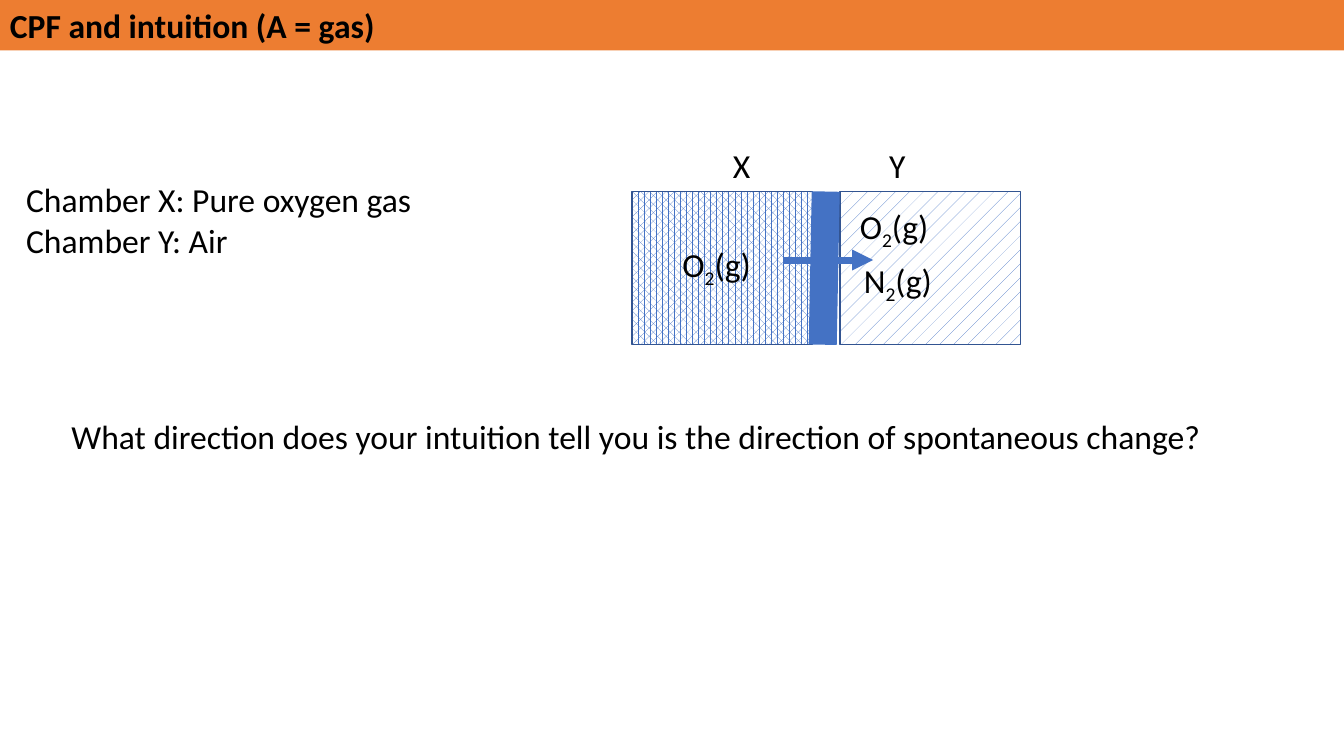
"""Build a slide on intuition about gas flow between two chambers."""
from lxml import etree
from pptx import Presentation
from pptx import util as u
from pptx.dml.color import RGBColor
from pptx.enum import dml, shapes, text
from pptx.oxml.ns import qn

ORANGE = RGBColor(0xED, 0x7D, 0x31)
BLUE = RGBColor(0x44, 0x72, 0xC4)
DARK_BLUE = RGBColor(0x32, 0x54, 0x91)
WHITE = RGBColor(0xFF, 0xFF, 0xFF)
BLACK = RGBColor(0, 0, 0)
BODY = {"name": "Calibri", "size": u.Pt(24), "bold": False}
HEADING = {**BODY, "bold": True}

deck = Presentation()
deck.slide_width, deck.slide_height = u.Inches(13.33), u.Inches(7.5)
slide = deck.slides.add_slide(deck.slide_layouts[6])
CELL = deck.slide_height / 75


def grid(*cells):
    """Turn columns and rows into lengths."""
    return [round(CELL * cell) for cell in cells]


def write(box, lines, style=BODY):
    """Fill a box with lines, each a list of runs; a digit alone is a subscript."""
    frame = box.text_frame
    frame.word_wrap = True
    frame.auto_size = text.MSO_AUTO_SIZE.SHAPE_TO_FIT_TEXT
    for index, line in enumerate(lines):
        paragraph = frame.add_paragraph() if index else frame.paragraphs[0]
        paragraph.alignment = text.PP_ALIGN.LEFT
        for part in line:
            run = paragraph.add_run()
            run.text = part
            for key, value in style.items():
                setattr(run.font, key, value)
            run.font.color.rgb = BLACK
            if part.isdigit():
                run.font._element.set("baseline", "-25000")


banner = slide.shapes.add_shape(
    shapes.MSO_SHAPE.RECTANGLE, 0, 0, deck.slide_width, grid(5)[0])
banner.shadow.inherit = False
banner.fill.solid()
banner.fill.fore_color.rgb = ORANGE
banner.line.fill.background()
banner.text_frame.vertical_anchor = text.MSO_ANCHOR.TOP
write(banner, [["CPF and intuition (A = gas)"]], HEADING)

apparatus = slide.shapes.add_group_shape()
for left, pattern in ((83.3, dml.MSO_PATTERN.PERCENT_5),
                      (62.7, dml.MSO_PATTERN.PERCENT_60)):
    chamber = apparatus.shapes.add_shape(
        shapes.MSO_SHAPE.RECTANGLE, *grid(left, 19, 17.9, 15.2))
    chamber.shadow.inherit = False
    chamber.fill.patterned()
    chamber.fill.pattern = pattern
    chamber.fill.fore_color.rgb = BLUE
    chamber.fill.back_color.rgb = WHITE
    chamber.line.color.rgb = DARK_BLUE
    chamber.line.width = u.Pt(1)

membrane = apparatus.shapes.add_connector(
    shapes.MSO_CONNECTOR.STRAIGHT, *grid(81.9, 19, 81.6, 34.2))

labels = (
    (apparatus, (71.7, 13.9, 7.3, 5), [["X"]]),
    (apparatus, (87.2, 13.9, 7.3, 5), [["Y"]]),
    (apparatus, (66.7, 23.7, 12, 5), [["O", "2", "(g)"]]),
    (slide, (6.1, 40.8, 117.8, 5),
     [["What direction does your intuition tell you is the direction of spontaneous change?"]]),
    (slide, (84.3, 19.9, 12, 5), [["O", "2", "(g)"]]),
    (slide, (84.7, 25.3, 12, 5), [["N", "2", "(g)"]]),
    (slide, (1.6, 17.3, 61.1, 9.1),
     [["Chamber X: Pure oxygen gas"], ["Chamber Y: Air"]]),
)
for parent, place, lines in labels:
    write(parent.shapes.add_textbox(*grid(*place)), lines)

flow = slide.shapes.add_connector(
    shapes.MSO_CONNECTOR.STRAIGHT, *grid(77.8, 25.8, 86.6, 25.8))
for stroke, width in ((membrane, 20), (flow, 5)):
    stroke.line.color.rgb = BLUE
    stroke.line.width = u.Pt(width)
    etree.SubElement(stroke._element.spPr, qn("a:effectLst"))
etree.SubElement(flow.line._get_or_add_ln(), qn("a:tailEnd"), type="triangle")

deck.save("out.pptx")
